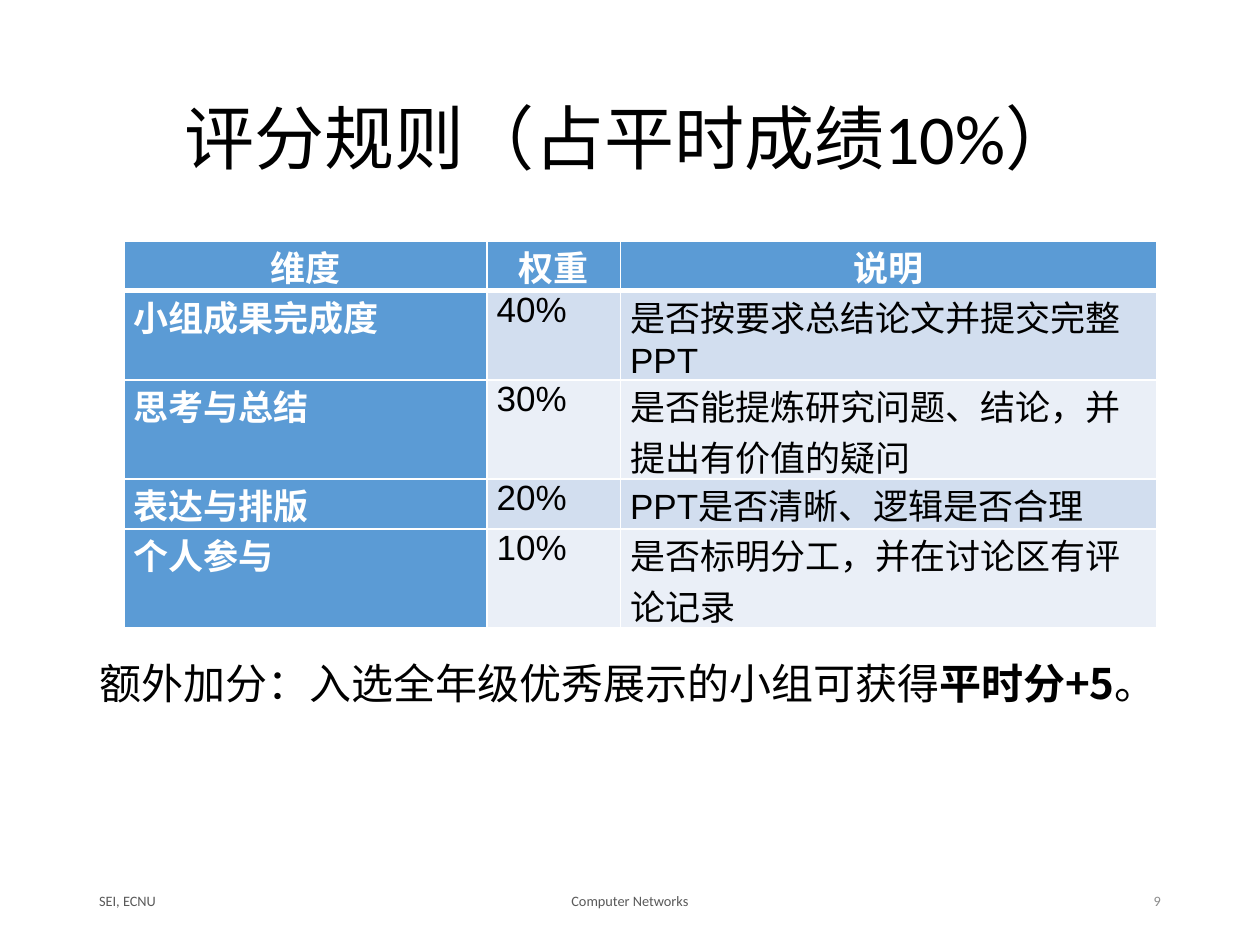
from dataclasses import dataclass

from lxml.etree import SubElement
from pptx import Presentation
from pptx.dml.color import RGBColor as RGB
from pptx.enum.text import MSO_ANCHOR as ANCHOR, PP_ALIGN as ALIGN
from pptx.oxml.ns import qn
from pptx.util import Cm, Pt


@dataclass(frozen=True)
class Theme:
    black: str = "000000"
    white: str = "FFFFFF"
    header: str = "5B9BD5"
    bands: tuple = ("D2DEEF", "EAEFF7")
    footer: str = "595959"
    number: str = "8C8C8C"
    title_size: float = 40
    note_size: float = 24
    table_size: float = 20
    footer_size: float = 8.2
    heading_font: str = "Calibri"
    table_font: str = "Arial"
    cjk_font: str = "Noto Sans CJK SC"


THEME = Theme()
ROWS = [
    ("维度", "权重", "说明"),
    ("小组成果完成度", "40%", "是否按要求总结论文并提交完整PPT"),
    ("思考与总结", "30%", "是否能提炼研究问题、结论，并提出有价值的疑问"),
    ("表达与排版", "20%", "PPT是否清晰、逻辑是否合理"),
    ("个人参与", "10%", "是否标明分工，并在讨论区有评论记录"),
]
COL_WIDTHS = (7.32, 2.69, 10.8)
ROW_HEIGHTS = (1, 1.8, 2, 1, 2)


def add_run(p, text, color, **font):
    r = p.add_run()
    r.text = text
    for key, value in font.items():
        setattr(r.font, key, value)
    r.font.color.rgb = RGB.from_string(color)
    SubElement(r.font._element, qn("a:ea"), typeface=THEME.cjk_font)


def add_text(slide, box, runs, color, size, name, align=ALIGN.LEFT, anchor=ANCHOR.MIDDLE):
    tf = slide.shapes.add_textbox(*map(Cm, box)).text_frame
    for key, value in {"word_wrap": True, "vertical_anchor": anchor}.items():
        setattr(tf, key, value)
    p = tf.paragraphs[0]
    p.alignment = align
    for text, bold in runs:
        add_run(p, text, color, size=Pt(size), name=name, bold=bold)
    return p


def add_title(slide, box):
    p = add_text(slide, box, [("评分规则（占平时成绩10%）", False)], THEME.black,
                 THEME.title_size, THEME.heading_font, ALIGN.CENTER)
    p.line_spacing = 0.9


def set_borders(cell, widths):
    tc_pr = cell._tc.get_or_add_tcPr()
    for side, width in widths.items():
        ln = SubElement(tc_pr, qn(f"a:ln{side}"), w=str(Pt(width)))
        fill = SubElement(ln, qn("a:solidFill"))
        SubElement(fill, qn("a:srgbClr"), val=THEME.white)


def add_rules_table(slide, box):
    table = slide.shapes.add_table(len(ROWS), len(COL_WIDTHS), *map(Cm, box)).table
    for column, width in zip(table.columns, COL_WIDTHS):
        column.width = Cm(width)
    for i, (row, height) in enumerate(zip(table.rows, ROW_HEIGHTS)):
        row.height = Cm(height)
        for j, cell in enumerate(row.cells):
            heading = i == 0 or j == 0
            set_borders(cell, {"L": 1, "R": 1, "T": 3 if i == 1 else 1,
                               "B": 3 if i == 0 else 1})
            margins = {"margin_left": Cm(0.19), "margin_right": Cm(0.19),
                       "margin_top": 0, "margin_bottom": 0}
            for key, value in margins.items():
                setattr(cell, key, value)
            cell.fill.solid()
            fill = THEME.header if heading else THEME.bands[(i - 1) % 2]
            cell.fill.fore_color.rgb = RGB.from_string(fill)
            p = cell.text_frame.paragraphs[0]
            p.alignment = ALIGN.CENTER if i == 0 else ALIGN.LEFT
            add_run(p, ROWS[i][j], THEME.white if heading else THEME.black,
                    size=Pt(THEME.table_size), name=THEME.table_font, bold=heading)


def add_bonus_note(slide, box):
    runs = [("额外加分：入选全年级优秀展示的小组可获得", False), ("平时分+5", True), ("。", False)]
    add_text(slide, box, runs, THEME.black, THEME.note_size, THEME.cjk_font, anchor=ANCHOR.TOP)


def add_footer(slide, box):
    left, top, width, height = box
    side, middle = 5.72, 8.58
    parts = [
        ("SEI, ECNU", 0, side, ALIGN.LEFT, THEME.footer),
        ("Computer Networks", (width - middle) / 2, middle, ALIGN.CENTER, THEME.footer),
        ("9", width - side, side, ALIGN.RIGHT, THEME.number),
    ]
    for text, offset, w, align, color in parts:
        add_text(slide, (left + offset, top, w, height), [(text, False)], color,
                 THEME.footer_size, THEME.heading_font, align)


def main():
    prs = Presentation()
    prs.slide_width, prs.slide_height = Cm(25.4), Cm(19.05)
    slide = prs.slides.add_slide(prs.slide_layouts[6])
    add_title(slide, (1.75, 1.02, 21.9, 3.68))
    add_rules_table(slide, (2.5, 4.86, sum(COL_WIDTHS), sum(ROW_HEIGHTS)))
    add_footer(slide, (1.75, 17.65, 21.9, 1.02))
    add_bonus_note(slide, (1.75, 13.13, 22.38, 1.27))
    prs.save("out.pptx")


if __name__ == "__main__":
    main()
